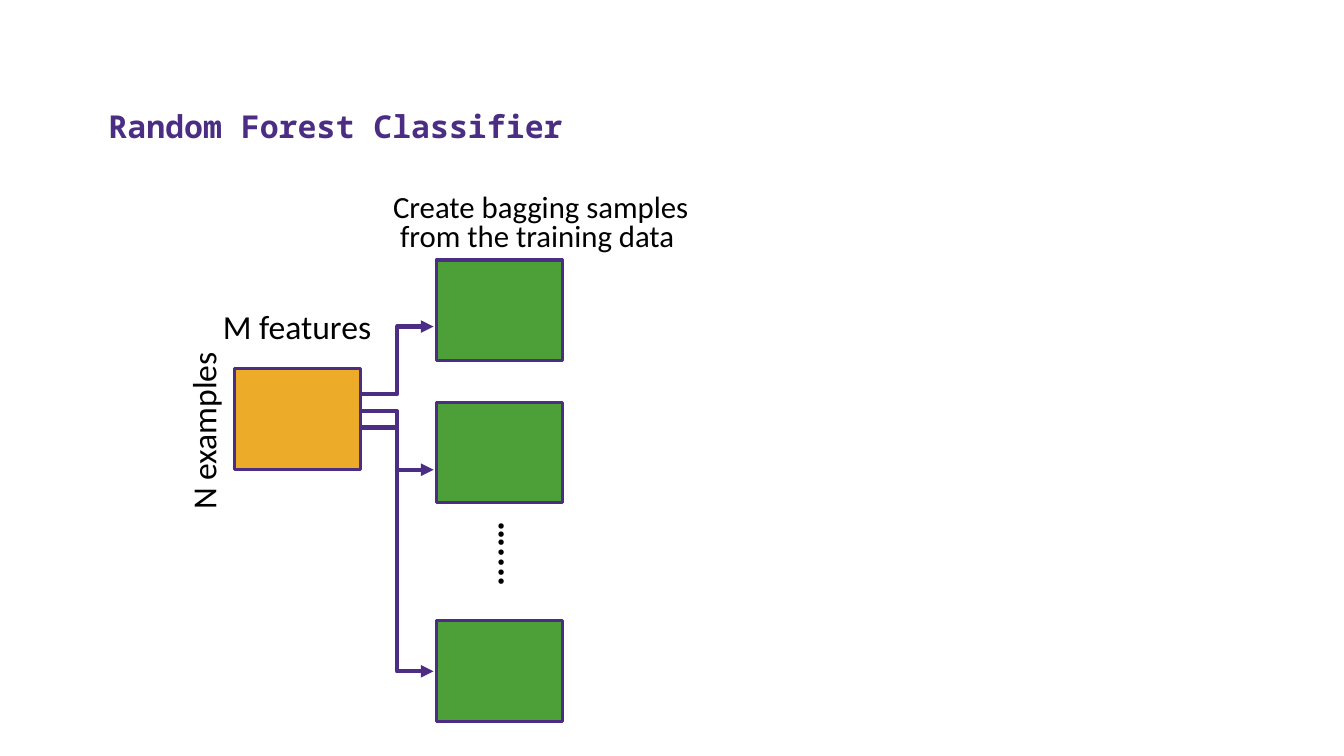
import dataclasses

import pptx
import pptx.dml.color
import pptx.enum.shapes
import pptx.enum.text
import pptx.util
from lxml import etree

# Grid: one sample box fills one column and one row
COL = 1.25
ROW = 1.0


@dataclasses.dataclass(frozen=True)
class Theme:
    purple: str = "4B2E83"
    green: str = "4D9F37"
    gold: str = "ECAB28"
    black: str = "000000"
    head: str = "Noto Sans Mono"
    body: str = "Calibri"
    title: float = 22.5
    note: float = 22
    label: float = 24
    dots: float = 26
    edge: float = 2.25
    arrow: float = 3


THEME = Theme()


def color(code):
    return pptx.dml.color.RGBColor.from_string(code)


def across(cols):
    return pptx.util.Inches(cols * COL)


def down(rows):
    return pptx.util.Inches(rows * ROW)


def area(x, y, w, h):
    return across(x), down(y), across(w), down(h)


def style(frame, face, size, tint, bold=False):
    for para in frame.paragraphs:
        for run in para.runs:
            run.font.name = face
            run.font.size = pptx.util.Pt(size)
            run.font.bold = bold
            run.font.color.rgb = color(tint)


def add_title(slide, text, place):
    title = slide.shapes.title
    title.left, title.top, title.width, title.height = area(*place)
    frame = title.text_frame
    frame.text = text
    frame.vertical_anchor = pptx.enum.text.MSO_ANCHOR.BOTTOM
    frame.paragraphs[0].alignment = pptx.enum.text.PP_ALIGN.LEFT
    style(frame, THEME.head, THEME.title, THEME.purple, True)


def add_label(slide, text, place, size, turn=0, bold=False, wrap=False):
    label = slide.shapes.add_textbox(*area(*place))
    label.rotation = turn
    frame = label.text_frame
    frame.text = text
    frame.word_wrap = wrap
    frame.auto_size = pptx.enum.text.MSO_AUTO_SIZE.SHAPE_TO_FIT_TEXT
    style(frame, THEME.body, size, THEME.black, bold)
    return frame


def add_note(slide, text, place):
    frame = add_label(slide, text, place, THEME.note, wrap=True)
    for para in frame.paragraphs:
        para.alignment = pptx.enum.text.PP_ALIGN.CENTER
        para.line_spacing = 0.8


def add_box(slide, x, y, fill):
    kind = pptx.enum.shapes.MSO_SHAPE.RECTANGLE
    box = slide.shapes.add_shape(kind, *area(x, y, 1, 1))
    box.shadow.inherit = False
    box.fill.solid()
    box.fill.fore_color.rgb = color(fill)
    box.line.color.rgb = color(THEME.purple)
    box.line.width = pptx.util.Pt(THEME.edge)


def add_arrow(slide, x1, y1, x2, y2):
    kind = pptx.enum.shapes.MSO_CONNECTOR.ELBOW
    arrow = slide.shapes.add_connector(
        kind, across(x1), down(y1), across(x2), down(y2))
    arrow.line.color.rgb = color(THEME.purple)
    arrow.line.width = pptx.util.Pt(THEME.arrow)
    # Arrowhead, and no shadow
    space = "{http://schemas.openxmlformats.org/drawingml/2006/main}"
    line = arrow.line._get_or_add_ln()
    etree.SubElement(line, space + "tailEnd", type="triangle")
    etree.SubElement(arrow._element.spPr, space + "effectLst")


def main():
    deck = pptx.Presentation()
    deck.slide_width = pptx.util.Inches(13.33)
    deck.slide_height = pptx.util.Inches(7.5)
    slide = deck.slides.add_slide(deck.slide_layouts[5])
    add_title(slide, "Random Forest Classifier", (0.78, 0.41, 9.54, 1.08))

    # Training data
    data_x, data_y = 1.86, 3.66
    add_box(slide, data_x, data_y, THEME.gold)
    add_label(slide, "M features", (1.69, 2.99, 1.35, 0.5), THEME.label)
    add_label(slide, "N examples", (0.9, 4.02, 1.42, 0.5), THEME.label, 270)

    # Bagging samples: top of box, arrow start and end below the tops
    bag_x = 3.46
    add_note(slide, "Create bagging samples\nfrom the training data ",
             (1.82, 1.88, 4.94, 0.69))
    for top, start, end in ((2.58, 0.25, 0.66),
                            (3.99, 0.58, 0.67),
                            (6.16, 0.42, 0.5)):
        add_box(slide, bag_x, top, THEME.green)
        add_arrow(slide, data_x + 1, data_y + start, bag_x - 0.02, top + end)
    add_label(slide, "....…", (3.54, 5.23, 0.68, 0.53), THEME.dots, 270, True)

    deck.save("out.pptx")


if __name__ == "__main__":
    main()
